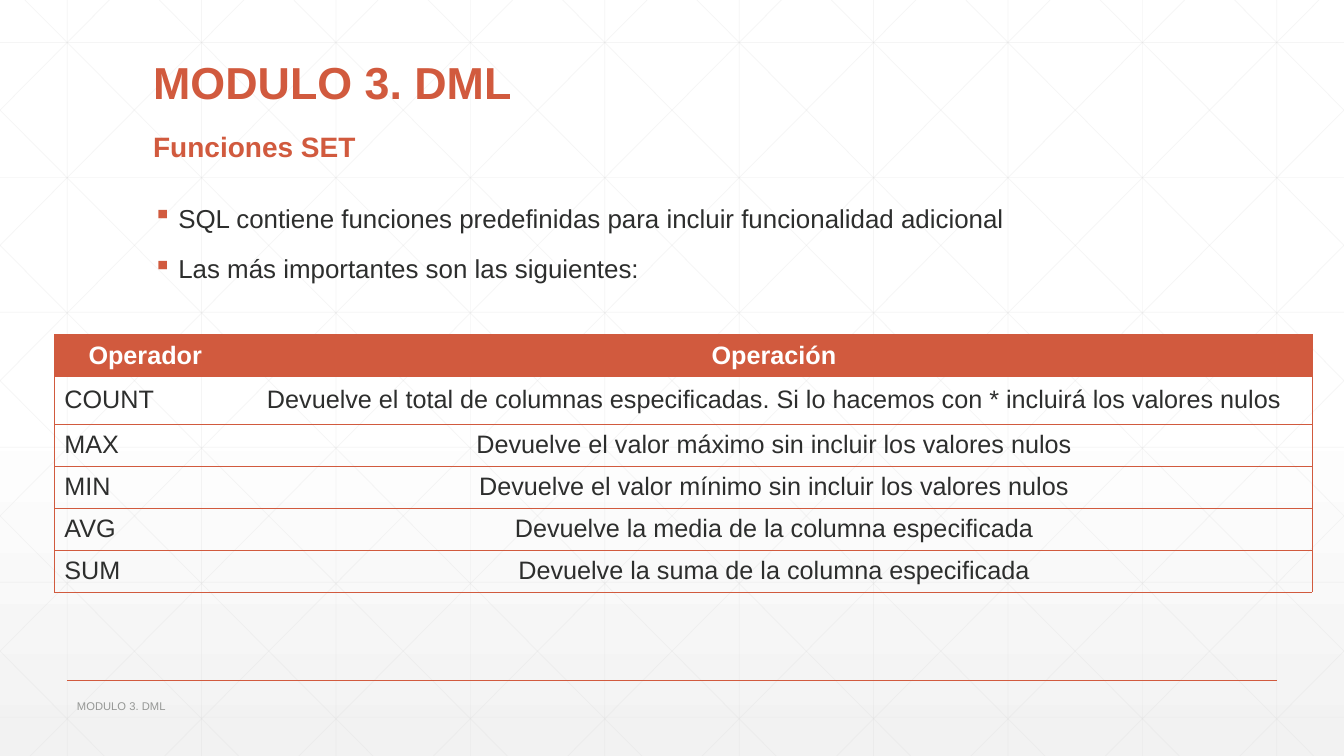
from lxml import etree
from pptx import Presentation
from pptx.dml.color import RGBColor
from pptx.enum.shapes import MSO_CONNECTOR
from pptx.enum.text import MSO_ANCHOR as ANCHOR, PP_ALIGN as ALIGN
from pptx.oxml.ns import qn
from pptx.util import Cm, Pt

W, H = 33.87, 19.05
ACCENT, DARK, GRAY = "D15A3E", "2D2E2D", "959795"


def rgb(color):
    return RGBColor.from_string(color)


def write(tf, *texts, size=18, color=DARK, bold=False, align=ALIGN.LEFT,
          anchor=ANCHOR.MIDDLE, spacing=1.0, before=0, bullet=None):
    tf.word_wrap = True
    tf.vertical_anchor = anchor
    for i, text in enumerate(texts):
        p = tf.paragraphs[0] if i == 0 else tf.add_paragraph()
        p.alignment, p.line_spacing, p.space_before = align, spacing, Pt(before)
        if bullet:
            pPr = p._p.get_or_add_pPr()
            pPr.set("marL", str(Cm(0.635)))
            pPr.set("indent", str(-Cm(0.635)))
            clr = etree.SubElement(pPr, qn("a:buClr"))
            etree.SubElement(clr, qn("a:srgbClr"), val=ACCENT)
            etree.SubElement(pPr, qn("a:buChar"), char=bullet)
        r = p.add_run()
        r.text = text
        r.font.name, r.font.size, r.font.bold = "Arial", Pt(size), bold
        r.font.color.rgb = rgb(color)


prs = Presentation()
prs.slide_width, prs.slide_height = Cm(W), Cm(H)
s = prs.slides.add_slide(prs.slide_layouts[6])

# Background gradient, white fading to light gray
fill = s.background.fill
fill.gradient()
fill.gradient_angle = 270
stops = s._element.find(".//" + qn("a:gsLst"))
for gs in list(stops):
    stops.remove(gs)
for pos, color, alpha in [(0, "FFFFFF", 100), (53, "FFFFFF", 100), (100, "F2F2F2", 65)]:
    gs = etree.SubElement(stops, qn("a:gs"), pos=str(pos * 1000))
    clr = etree.SubElement(gs, qn("a:srgbClr"), val=color)
    etree.SubElement(clr, qn("a:alpha"), val=str(alpha * 1000))

# Grid: verticals, horizontals, then mirrored diagonals clipped to the slide
step, run = W / 10, 18.93
lines = [((k + 0.5) * step, 0, (k + 0.5) * step, H) for k in range(10)]
lines += [(0, 1.07 + 3.4 * k, W, 1.07 + 3.4 * k) for k in range(6)]
for k in range(-5, 10):
    x = 0.63 + k * step
    x1, x2 = max(x, 0), min(x + run, W)
    y1, y2 = [(edge - x) * H / run for edge in (x1, x2)]
    lines += [(x1, y1, x2, y2), (W - x1, y1, W - x2, y2)]
rules = [(line, "D9D9D9", 0.5, 25) for line in lines]

# Footer rule goes on top of the grid
rules.append(((1.69, 17.15, 32.18, 17.15), ACCENT, 1, 100))
for ends, color, width, alpha in rules:
    c = s.shapes.add_connector(MSO_CONNECTOR.STRAIGHT, *[Cm(v) for v in ends])
    c.line.color.rgb, c.line.width = rgb(color), Pt(width)
    clr = c._element.spPr.find(".//" + qn("a:srgbClr"))
    etree.SubElement(clr, qn("a:alpha"), val=str(alpha * 1000))
    etree.SubElement(c._element.spPr, qn("a:effectLst"))

# Text boxes
heading = dict(color=ACCENT, bold=True, anchor=ANCHOR.BOTTOM, spacing=0.9)
boxes = [
    ((3.61, 5.13, 26.67, 2.26),
     ["SQL contiene funciones predefinidas para incluir funcionalidad adicional",
      "Las más importantes son las siguientes:"],
     dict(size=18.5, anchor=ANCHOR.TOP, spacing=0.8, before=18, bullet="▪")),
    ((1.69, 17.48, 17.02, 0.61), ["MODULO 3. DML"], dict(size=8, color=GRAY)),
    ((3.61, 1.09, 26.67, 1.78), ["MODULO 3. DML"], dict(size=32, **heading)),
    ((3.61, 2.46, 26.67, 1.78), ["Funciones SET"], dict(size=20, **heading)),
]
for place, texts, style in boxes:
    sp = s.shapes.add_textbox(*[Cm(v) for v in place])
    write(sp.text_frame, *texts, **style)

# Table of functions
rows = [
    ("Operador", "Operación"),
    ("COUNT", "Devuelve el total de columnas especificadas. "
              "Si lo hacemos con * incluirá los valores nulos"),
    ("MAX", "Devuelve el valor máximo sin incluir los valores nulos"),
    ("MIN", "Devuelve el valor mínimo sin incluir los valores nulos"),
    ("AVG", "Devuelve la media de la columna especificada"),
    ("SUM", "Devuelve la suma de la columna especificada"),
]
table = s.shapes.add_table(len(rows), 2, Cm(1.37), Cm(8.43), Cm(31.69), Cm(6.48)).table
table.horz_banding = False
table.columns[0].width, table.columns[1].width = Cm(4.58), Cm(27.11)
for i, texts in enumerate(rows):
    table.rows[i].height = Cm(1.19 if i == 1 else 1.06)
    header = i == 0
    for j, text in enumerate(texts):
        cell = table.cell(i, j)
        cell.vertical_anchor = ANCHOR.MIDDLE
        write(cell.text_frame, text, bold=header, color="FFFFFF" if header else DARK,
              align=ALIGN.CENTER if header or j else ALIGN.LEFT)
        # Borders: every side except the one between the columns
        tcPr = cell._tc.get_or_add_tcPr()
        for side in "LRTB":
            ln = etree.SubElement(tcPr, qn("a:ln" + side), w=str(Pt(0.5)))
            if side == "RL"[j]:
                etree.SubElement(ln, qn("a:noFill"))
            else:
                solid = etree.SubElement(ln, qn("a:solidFill"))
                etree.SubElement(solid, qn("a:srgbClr"), val=ACCENT)
        if header:
            cell.fill.solid()
            cell.fill.fore_color.rgb = rgb(ACCENT)
        else:
            cell.fill.background()

prs.save("out.pptx")
